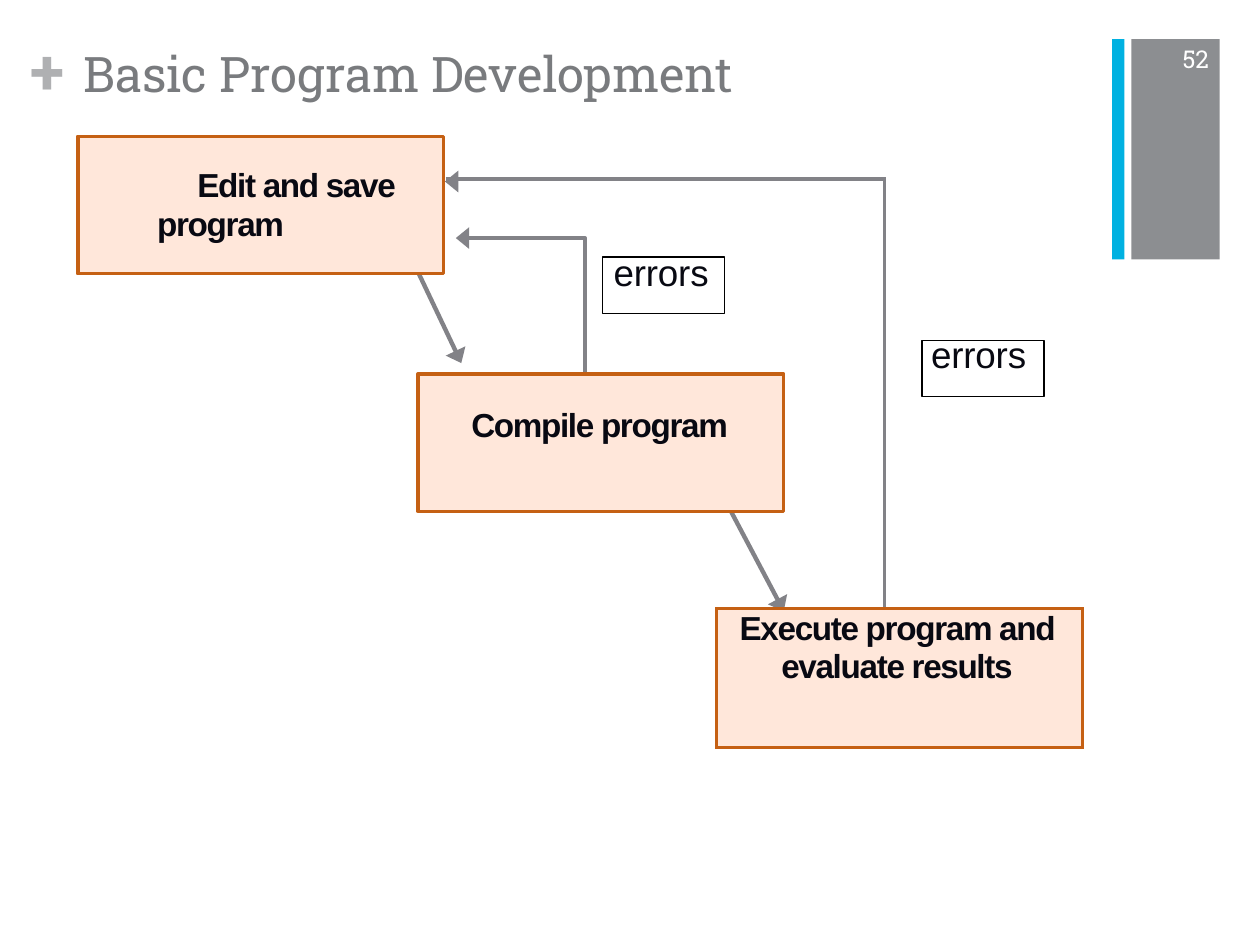
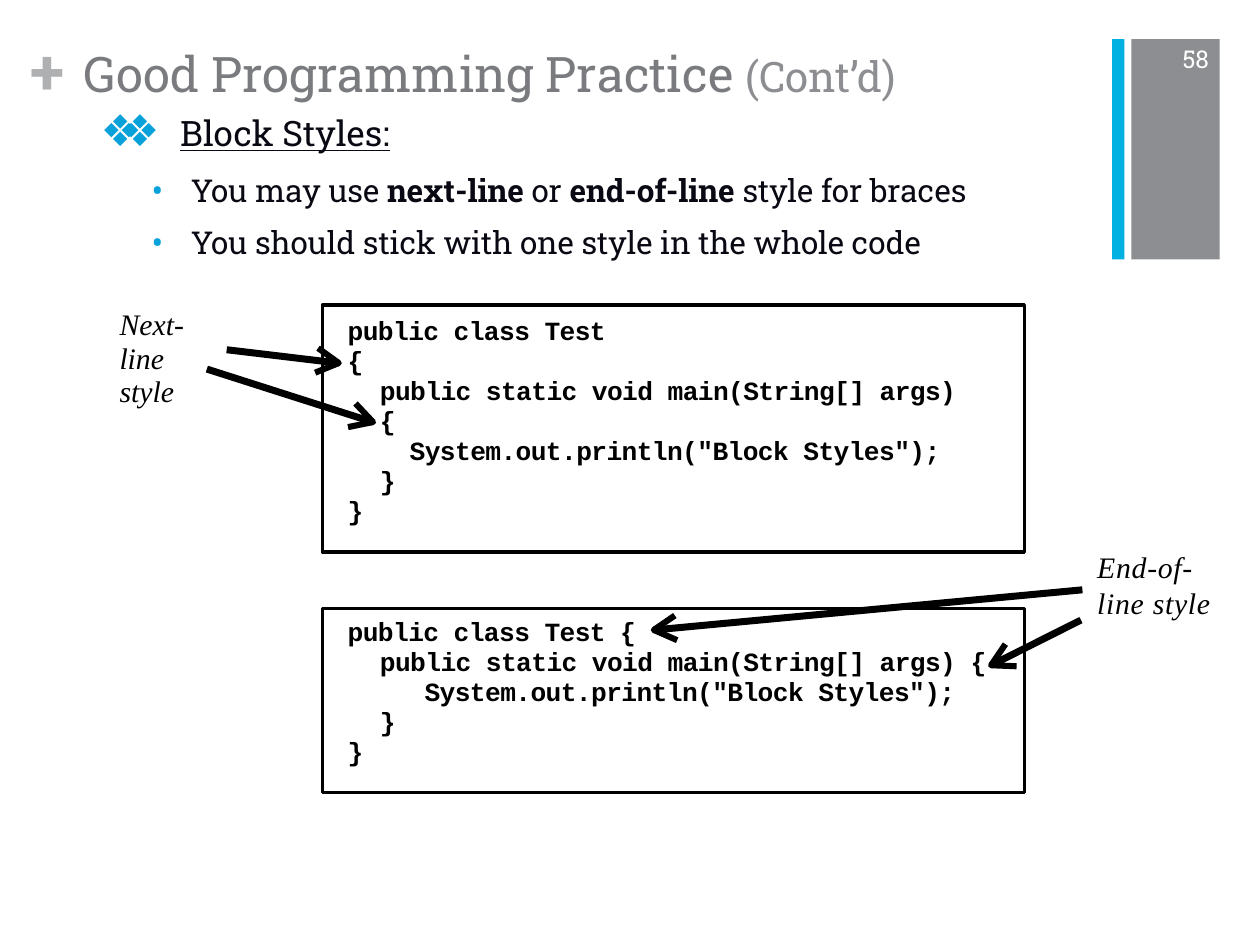
from math import hypot

from lxml.etree import Element, SubElement
from pptx import Presentation
from pptx.dml.color import RGBColor
from pptx.enum.shapes import MSO_CONNECTOR, MSO_SHAPE
from pptx.enum.text import MSO_ANCHOR, MSO_AUTO_SIZE, PP_ALIGN
from pptx.oxml.ns import qn
from pptx.util import Cm, Pt

SLAB, SANS, MONO, SERIF = "Roboto Slab", "Arial", "Courier New", "Times New Roman"
GREY, PALE, BAND, CYAN = "797B7E", "AFB0B2", "8C8E91", "00B1E1"
INK, BLACK, WHITE = "080912", "000000", "FFFFFF"
PEACH, RUST, STEEL, BLUE = "FFE7DA", "C56013", "828287", "08A1D9"

EDIT = (1.57, 2.75, 7.37, 2.77)
COMPILE = (8.43, 7.54, 7.37, 2.77)
LABELS = [(12.14, 5.18, 2.46, 1.14), (18.59, 6.86, 2.46, 1.14)]
FORWARD = [[(8.43, 5.49), (9.3, 7.32)], [(14.71, 10.26), (15.8, 12.32)]]
BACK = [(11.79, 7.49), (11.79, 4.8), (9.19, 4.8)]
RETURN = [(17.82, 3.66), (8.97, 3.66)]

GRID = (8.99, 3.61)
COLS, ROWS = (5.46, 3.38, 3.99), (8.66, 2.8)
# Cells: row, column, top margin, fill, paragraphs
# Paragraphs: text, size, bold, left, hang, space before
CELLS = [
    (0, 0, 1.49, None, [("errors", 21, False, 3.38, 0, 0),
                        ("Compile program", 19, True, 0.51, 0, 65)]),
    (0, 2, 3.15, None, [("errors", 21, False, 0.94, 0, 0)]),
    (1, 1, 0, PEACH, [("Execute program and evaluate results",
                       19, True, 1.3, 0.84, 0)]),
]
STEEL_EDGE, RUST_EDGE = (STEEL, 2.5), (RUST, 2)
BOXED = dict.fromkeys("LRTB", RUST_EDGE)
EDGES = {
    (0, 0): {"T": STEEL_EDGE, "R": STEEL_EDGE},
    (0, 1): {"T": STEEL_EDGE, "R": STEEL_EDGE},
    (0, 2): {"L": STEEL_EDGE, "B": RUST_EDGE},
    (1, 0): {"R": RUST_EDGE},
    (1, 1): BOXED,
    (1, 2): BOXED,
}

BULLETS = [
    [("You may use ", False), ("next-line", True), (" or ", False),
     ("end-of-line", True), (" style for braces", False)],
    [("You should stick with one style in the whole code", False)],
]
# Code: top, height, inset, lines with their indents
CODE = [
    (6.15, 4.98, 0.21, [
        (0, "public class Test"),
        (0, "{"),
        (0.65, "public static void main(String[] args)"),
        (0.65, "{"),
        (1.25, 'System.out.println("Block Styles");'),
        (0.65, "}"),
        (0, "}"),
    ]),
    (12.27, 3.71, 0.16, [
        (0, "public class Test {"),
        (0.65, "public static void main(String[] args) {"),
        (1.55, 'System.out.println("Block Styles");'),
        (0.65, "}"),
        (0, "}"),
    ]),
]
# Notes: left, top, width, line pitch, letter gap, text
NOTES = [
    (2.41, 6.22, 1.8, 19.1, 0, "Next-line style"),
    (22.12, 11.05, 2.7, 20.6, 0.4, "End-of-line style"),
]
POINTERS = [
    [(4.57, 7.05), (6.83, 7.32)],
    [(4.17, 7.44), (7.52, 8.51)],
    [(21.82, 11.89), (13.18, 12.7)],
    [(21.79, 12.5), (19.98, 13.41)],
]


def rgb(code):
    return RGBColor.from_string(code)


def add_run(para, text, font, size, color, bold=False, italic=False, gap=0):
    """Add one run; gap is the letter spacing in points."""
    run = para.add_run()
    run.text = text
    face = run.font
    face.name, face.size, face.bold, face.italic = font, Pt(size), bold, italic
    face.color.rgb = rgb(color)
    if gap:
        run._r.get_or_add_rPr().set("spc", str(round(gap * 100)))
    return run


def set_frame(shape, left=0, top=0, wrap=True):
    frame = shape.text_frame
    frame.margin_left, frame.margin_top = Cm(left), Cm(top)
    frame.margin_right = frame.margin_bottom = 0
    frame.word_wrap = wrap
    frame.auto_size = MSO_AUTO_SIZE.NONE
    frame.vertical_anchor = MSO_ANCHOR.TOP
    return frame


def add_text(slide, left, top, width, height, wrap=True):
    box = slide.shapes.add_textbox(Cm(left), Cm(top), Cm(width), Cm(height))
    return set_frame(box, wrap=wrap)


def each_para(frame, items):
    """Yield a left-aligned paragraph with each item."""
    for i, item in enumerate(items):
        para = frame.add_paragraph() if i else frame.paragraphs[0]
        para.alignment = PP_ALIGN.LEFT
        yield para, item


def paint(shape, fill=None, line=None, weight=1):
    shape.shadow.inherit = False
    if fill:
        shape.fill.solid()
        shape.fill.fore_color.rgb = rgb(fill)
    else:
        shape.fill.background()
    if line:
        shape.line.color.rgb = rgb(line)
        shape.line.width = Pt(weight)
    else:
        shape.line.fill.background()


def add_box(slide, place, *style):
    box = slide.shapes.add_shape(MSO_SHAPE.RECTANGLE, *map(Cm, place))
    paint(box, *style)
    return box


def add_outline(slide, points, closed, *style):
    first, *rest = [(Cm(x), Cm(y)) for x, y in points]
    pen = slide.shapes.build_freeform(*first)
    pen.add_line_segments(rest, close=closed)
    paint(pen.convert_to_shape(), *style)


def add_line(slide, start, end, color, weight):
    link = slide.shapes.add_connector(
        MSO_CONNECTOR.STRAIGHT, *map(Cm, (*start, *end)))
    link.line.color.rgb = rgb(color)
    link.line.width = Pt(weight)
    SubElement(link._element.spPr, qn("a:effectLst"))


def along(start, tip, back, side=0):
    """Give the point a distance back from the tip and off to one side."""
    dx, dy = tip[0] - start[0], tip[1] - start[1]
    span = hypot(dx, dy)
    dx, dy = dx / span, dy / span
    return tip[0] - back * dx - side * dy, tip[1] - back * dy + side * dx


def add_head(slide, start, tip, size, half, closed, *style):
    wings = [along(start, tip, size, side) for side in (half, -half)]
    add_outline(slide, [wings[0], tip, wings[1]], closed, *style)


def add_wedge(slide, start, tip):
    add_head(slide, start, tip, 0.27, 0.22, True, STEEL)


def set_hang(para, left, hang, bullet=None):
    props = para._p.get_or_add_pPr()
    props.set("marL", str(Cm(left)))
    props.set("indent", str(-Cm(hang)))
    if bullet:
        tint = SubElement(props, qn("a:buClr"))
        SubElement(tint, qn("a:srgbClr"), val=BLUE)
        SubElement(props, qn("a:buSzPct"), val="110000")
        SubElement(props, qn("a:buFont"), typeface=SLAB)
        SubElement(props, qn("a:buChar"), char=bullet)


def set_edges(cell, edges):
    """Draw the given borders of a cell and hide the others."""
    props = cell._tc.get_or_add_tcPr()
    for i, side in enumerate("LRTB"):
        line = Element(qn(f"a:ln{side}"))
        props.insert(i, line)
        if side in edges:
            color, weight = edges[side]
            line.set("w", str(Pt(weight)))
            fill = SubElement(line, qn("a:solidFill"))
            SubElement(fill, qn("a:srgbClr"), val=color)
        else:
            SubElement(line, qn("a:noFill"))


def add_grid(slide):
    frame = slide.shapes.add_table(
        len(ROWS), len(COLS), *map(Cm, (*GRID, sum(COLS), sum(ROWS))))
    table = frame.table
    table.first_row = table.horz_banding = False
    for col, width in zip(table.columns, COLS):
        col.width = Cm(width)
    for row, height in zip(table.rows, ROWS):
        row.height = Cm(height)
    table.cell(0, 0).merge(table.cell(0, 1))
    table.cell(1, 1).merge(table.cell(1, 2))
    for spot, edges in EDGES.items():
        cell = table.cell(*spot)
        cell.fill.background()
        cell.margin_left = cell.margin_right = 0
        cell.margin_top = cell.margin_bottom = 0
        set_edges(cell, edges)
    for row, col, top, fill, paras in CELLS:
        cell = table.cell(row, col)
        cell.margin_top = Cm(top)
        if fill:
            cell.fill.solid()
            cell.fill.fore_color.rgb = rgb(fill)
        for para, item in each_para(cell.text_frame, paras):
            text, size, bold, left, hang, before = item
            set_hang(para, left, hang)
            para.space_before = Pt(before)
            if hang:
                para.line_spacing = Pt(22)
            add_run(para, text, SANS, size, INK, bold, gap=-0.75 if bold else -0.1)


def add_slide(deck, number, title, tail=None):
    slide = deck.slides.add_slide(deck.slide_layouts[5])
    add_box(slide, (22.81, 0.79, 1.78, 4.44), BAND)
    add_box(slide, (22.42, 0.79, 0.25, 4.44), CYAN)
    plus = add_text(slide, 0.62, 0.64, 0.91, 1.55, wrap=False)
    add_run(plus.paragraphs[0], "+", SLAB, 36, PALE, bold=True)
    page = add_text(slide, 23.84, 0.89, 0.61, 0.61, wrap=False)
    add_run(page.paragraphs[0], number, SLAB, 14, WHITE)

    head = slide.shapes.title
    head.left, head.top, head.width, head.height = map(Cm, (1.68, 0.88, 20.5, 1.25))
    para = set_frame(head).paragraphs[0]
    para.alignment = PP_ALIGN.LEFT
    add_run(para, title, SLAB, 28, GREY, gap=-0.07)
    if tail:
        add_run(para, tail, SLAB, 24, BAND)
    return slide


def draw_flow(deck):
    slide = add_slide(deck, "52", "Basic Program Development")
    for start, tip in FORWARD:
        add_line(slide, start, along(start, tip, 0.06), STEEL, 2.5)
        add_wedge(slide, start, tip)
    add_outline(slide, [*BACK[:2], along(*BACK[1:], 0.06)], False, None, STEEL, 2.5)
    add_wedge(slide, *BACK[1:])
    add_wedge(slide, *RETURN)
    for place in LABELS:
        add_box(slide, place, None, BLACK, 0.75)
    box = add_box(slide, EDIT, PEACH, RUST, 2)
    para = set_frame(box, top=0.6).paragraphs[0]
    para.alignment = PP_ALIGN.LEFT
    para.line_spacing = Pt(22)
    set_hang(para, 1.6, -0.81)
    add_run(para, "Edit and save program", SANS, 19, INK, bold=True, gap=-0.75)
    add_box(slide, COMPILE, PEACH, RUST, 2)
    add_grid(slide)


def draw_style(deck):
    slide = add_slide(deck, "58", "Good Programming Practice ", "(Cont’d)")
    body = add_text(slide, 2.03, 2.08, 20, 3.2)
    para = body.paragraphs[0]
    set_hang(para, 1.6, 1.6)
    add_run(para, "❖❖", SANS, 25, BLUE, gap=-11.1)
    add_run(para, "\t", SLAB, 20, INK)
    add_run(para, "Block Styles:", SLAB, 20, INK).font.underline = True
    for parts in BULLETS:
        para = body.add_paragraph()
        para.space_before = Pt(8.6)
        set_hang(para, 1.82, 0.79, "•")
        for text, bold in parts:
            add_run(para, text, SLAB, 18, INK, bold, gap=-0.05)

    for top, height, inset, lines in CODE:
        box = add_box(slide, (6.5, top, 14.15, height), None, BLACK, 1.9)
        frame = set_frame(box, left=0.51, top=inset)
        for para, (indent, line) in each_para(frame, lines):
            para.line_spacing = Pt(17.2)
            set_hang(para, indent, 0)
            add_run(para, line, MONO, 15, BLACK, bold=True, gap=-0.35)
    for left, top, width, pitch, gap, text in NOTES:
        para = add_text(slide, left, top, width, 2.1).paragraphs[0]
        para.line_spacing = Pt(pitch)
        add_run(para, text, SERIF, 17, BLACK, italic=True, gap=gap)
    for start, tip in POINTERS:
        add_line(slide, start, tip, BLACK, 4)
        add_head(slide, start, tip, 0.45, 0.25, False, None, BLACK, 3.5)


def main():
    deck = Presentation()
    deck.slide_width, deck.slide_height = Cm(25.4), Cm(19.05)
    draw_flow(deck)
    draw_style(deck)
    deck.save("out.pptx")


if __name__ == "__main__":
    main()
